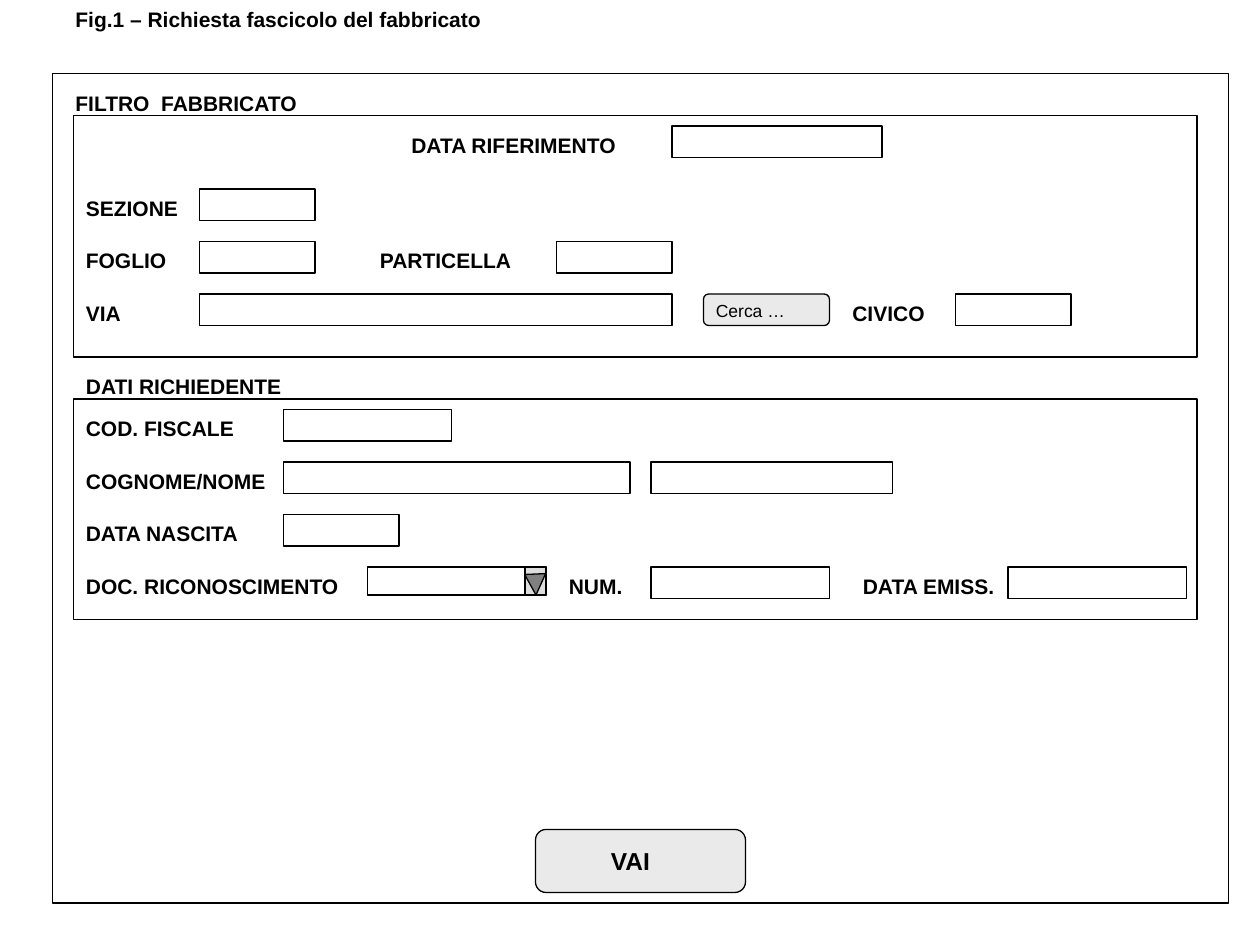
"""Build the mock-up of the form that requests a building file."""
from dataclasses import dataclass

from pptx import Presentation
from pptx import util as u
from pptx.dml.color import RGBColor
from pptx.enum import shapes, text

Kind = shapes.MSO_SHAPE


@dataclass(frozen=True)
class Theme:
    font: str = "Arial"
    ink: str = "000000"
    paper: str = "FFFFFF"
    key: str = "EAEAEA"
    drop: str = "DDDDDD"
    mark: str = "808080"
    line: float = 0.75
    small: float = 10
    body: float = 12
    large: float = 14
    lead: float = 0.625


@dataclass(frozen=True)
class Box:
    left: float
    top: float
    width: float
    height: float = 18
    fill: str = Theme.paper
    kind: Kind = Kind.RECTANGLE


@dataclass(frozen=True)
class Label:
    words: str
    left: float
    top: float
    width: float
    size: float = Theme.body
    bold: bool = True


THEME = Theme()
FILTER = [72, 108, 138, 168]
PERSON = [234, 264, 294, 324]

FRAMES = [
    Box(30, 42, 672, 474),
    Box(42, 66, 642, 138),
    Box(42, 228, 642, 126),
]
FIELDS = [
    Box(384, FILTER[0], 120),
    Box(114, FILTER[1], 66),
    Box(114, FILTER[2], 66),
    Box(318, FILTER[2], 66),
    Box(114, FILTER[3], 270),
    Box(546, FILTER[3], 66),
    Box(162, PERSON[0], 96),
    Box(162, PERSON[1], 198),
    Box(372, PERSON[1], 138),
    Box(162, PERSON[2], 66),
    Box(210, PERSON[3], 102, 16),
    Box(300, PERSON[3], 12, 16, THEME.drop),
    Box(372, PERSON[3], 102),
    Box(576, PERSON[3], 102),
]
KEYS = [
    Box(402, FILTER[3], 72, 18, THEME.key, Kind.FLOWCHART_ALTERNATE_PROCESS),
    Box(306, 474, 120, 36, THEME.key, Kind.ROUNDED_RECTANGLE),
]
ARROW = Box(300, 328, 12, 12, THEME.mark, Kind.ISOSCELES_TRIANGLE)
LABELS = [
    Label("Fig.1 – Richiesta fascicolo del fabbricato", 36, 0, 378),
    Label("FILTRO  FABBRICATO", 36, 48, 336),
    Label("DATA RIFERIMENTO", 228, FILTER[0], 150),
    Label("SEZIONE", 42, FILTER[1], 72),
    Label("FOGLIO", 42, FILTER[2], 66),
    Label("PARTICELLA", 210, FILTER[2], 96),
    Label("VIA", 42, FILTER[3], 60),
    Label("Cerca …", 402, FILTER[3], 54, THEME.small, False),
    Label("CIVICO", 480, FILTER[3], 60),
    Label("DATI RICHIEDENTE", 42, 210, 336),
    Label("COD. FISCALE", 42, PERSON[0], 108),
    Label("COGNOME/NOME", 42, PERSON[1], 120),
    Label("DATA NASCITA", 42, PERSON[2], 108),
    Label("DOC. RICONOSCIMENTO", 42, PERSON[3], 162),
    Label("NUM.", 318, PERSON[3], 54),
    Label("DATA EMISS.", 486, PERSON[3], 102),
    Label("VAI", 342, 480, 48, THEME.large),
]


def draw(slide, box: Box):
    """Draw one outlined shape and return it."""
    shape = slide.shapes.add_shape(
        box.kind, u.Pt(box.left), u.Pt(box.top), u.Pt(box.width), u.Pt(box.height))
    shape.shadow.inherit = False
    shape.fill.solid()
    shape.fill.fore_color.rgb = RGBColor.from_string(box.fill)
    shape.line.color.rgb = RGBColor.from_string(THEME.ink)
    shape.line.width = u.Pt(THEME.line)
    return shape


def write(slide, label: Label) -> None:
    """Write one line of text in its own box."""
    height = label.size * 1.2 + 7.2
    area = slide.shapes.add_textbox(
        u.Pt(label.left), u.Pt(label.top), u.Pt(label.width), u.Pt(height))
    frame = area.text_frame
    frame.word_wrap = True
    frame.auto_size = text.MSO_AUTO_SIZE.SHAPE_TO_FIT_TEXT
    frame.text = label.words
    line = frame.paragraphs[0]
    line.space_before = u.Pt(label.size * THEME.lead)
    font = line.runs[0].font
    font.name = THEME.font
    font.size = u.Pt(label.size)
    font.bold = label.bold
    font.color.rgb = RGBColor.from_string(THEME.ink)


def main() -> None:
    """Lay out the form and save it."""
    deck = Presentation()
    deck.slide_width, deck.slide_height = u.Pt(720), u.Pt(540)
    slide = deck.slides.add_slide(deck.slide_layouts[6])
    for box in FRAMES + FIELDS + KEYS:
        draw(slide, box)
    arrow = draw(slide, ARROW)
    arrow.rotation = 177.6
    arrow._element.spPr.get_or_add_xfrm().set("flipH", "1")
    for label in LABELS:
        write(slide, label)
    deck.save("out.pptx")


if __name__ == "__main__":
    main()
